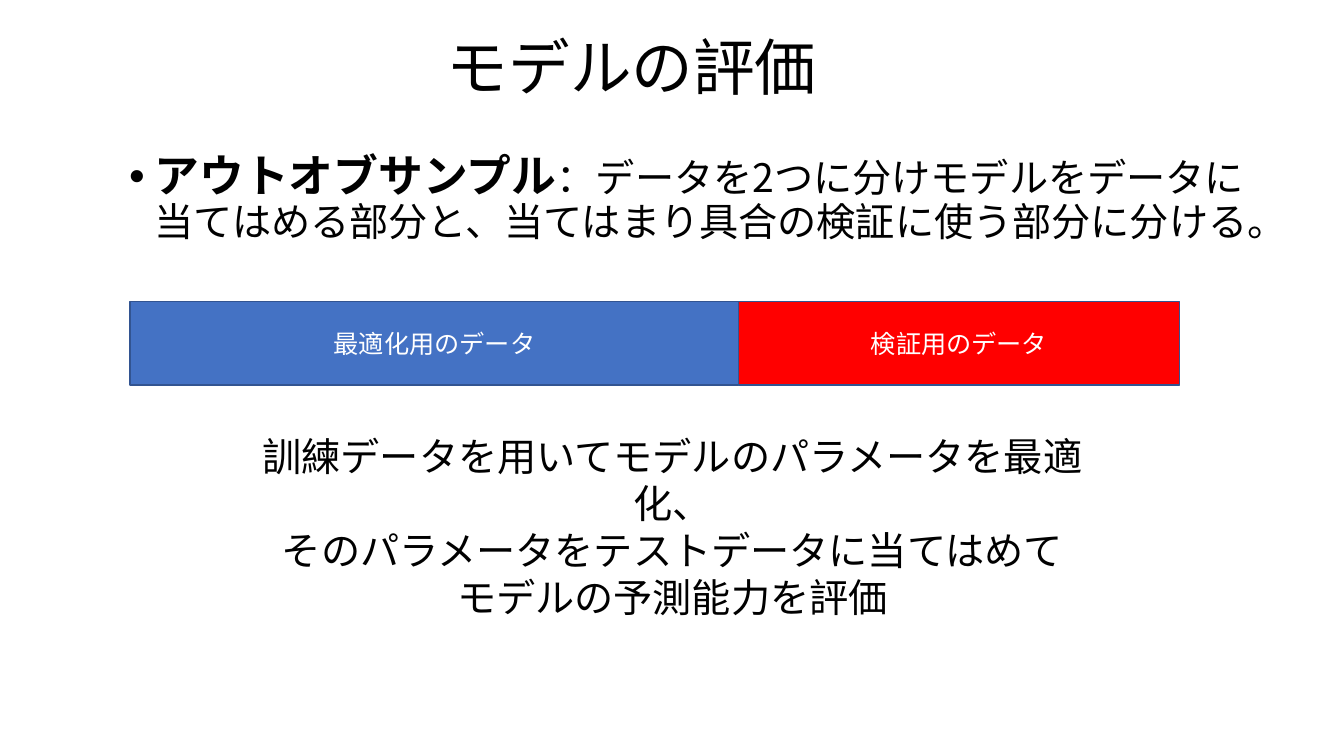
from dataclasses import dataclass
from pptx import Presentation
from pptx.dml.color import RGBColor as Rgb
from pptx.enum import shapes as sh, text as tx
from pptx.oxml import xmlchemy as xc
from pptx.util import Cm, Pt


@dataclass(frozen=True)
class Theme:
    font: str = "Noto Sans CJK JP"
    ink: str = "000000"
    light: str = "FFFFFF"
    train: str = "4472C4"
    test: str = "FF0000"
    edge: str = "325491"
    head: int = 44
    term: int = 32
    body: int = 28
    label: int = 18


T = Theme()
MID = tx.PP_ALIGN.CENTER


def place(part, box):
    part.left, part.top, part.width, part.height = (Cm(v) for v in box)


def add_run(para, words, size, color=T.ink, bold=False):
    run = para.add_run()
    run.text = words
    font = run.font
    font.name, font.size, font.bold = T.font, Pt(size), bold
    font.color.rgb = Rgb.from_string(color)
    # East Asian typeface follows the Latin one
    east = xc.OxmlElement("a:ea")
    east.set("typeface", T.font)
    font._element.find(xc.qn("a:latin")).addnext(east)


def add_title(slide, box):
    title = slide.shapes.title
    place(title, box)
    frame = title.text_frame
    frame.vertical_anchor = tx.MSO_ANCHOR.MIDDLE
    para = frame.paragraphs[0]
    para.alignment, para.line_spacing = MID, 0.9
    add_run(para, "モデルの評価", T.head)


def add_body(slide, box):
    body = slide.placeholders[1]
    place(body, box)
    para = body.text_frame.paragraphs[0]
    para.line_spacing, para.space_before = 0.9, Pt(10)
    props = para._p.get_or_add_pPr()
    props.set("marL", str(Cm(0.64)))
    props.set("indent", str(-Cm(0.64)))
    add_run(para, "アウトオブサンプル", T.term, bold=True)
    add_run(para, "：データを2つに分けモデルをデータに当てはめる部分と、"
                  "当てはまり具合の検証に使う部分に分ける。", T.body)


def add_split(slide, box, parts):
    """Bar cut into parts, each given as label, share and fill."""
    left, top, width, height = box
    for label, share, fill in parts:
        bar = slide.shapes.add_shape(sh.MSO_SHAPE.RECTANGLE, 0, 0, 0, 0)
        place(bar, (left, top, width * share, height))
        left += width * share
        bar.shadow.inherit = False
        bar.fill.solid()
        bar.fill.fore_color.rgb = Rgb.from_string(fill)
        bar.line.color.rgb = Rgb.from_string(T.edge)
        bar.line.width = Pt(1)
        bar.text_frame.vertical_anchor = tx.MSO_ANCHOR.MIDDLE
        para = bar.text_frame.paragraphs[0]
        para.alignment = MID
        add_run(para, label, T.label, T.light)


def add_note(slide, box, lines):
    frame = slide.shapes.add_textbox(*(Cm(v) for v in box)).text_frame
    frame.word_wrap = True
    for i, line in enumerate(lines):
        para = frame.add_paragraph() if i else frame.paragraphs[0]
        para.alignment = MID
        add_run(para, line, T.body)


def main():
    deck = Presentation()
    deck.slide_width, deck.slide_height = Cm(33.87), Cm(19.05)
    slide = deck.slides.add_slide(deck.slide_layouts[1])

    # Heading and definition
    add_title(slide, (1.32, 0.69, 29.21, 2.18))
    add_body(slide, (3, 3.76, 29.21, 11.96))

    # Data split
    add_split(slide, (3.28, 7.6, 26.44, 2.1), [
        ("最適化用のデータ", 0.58, T.train),
        ("検証用のデータ", 0.42, T.test)])

    # Explanation
    add_note(slide, (6.2, 10.77, 21.49, 3.84), [
        "訓練データを用いてモデルのパラメータを最適化、",
        "そのパラメータをテストデータに当てはめて",
        "モデルの予測能力を評価"])

    deck.save("out.pptx")


if __name__ == "__main__":
    main()
